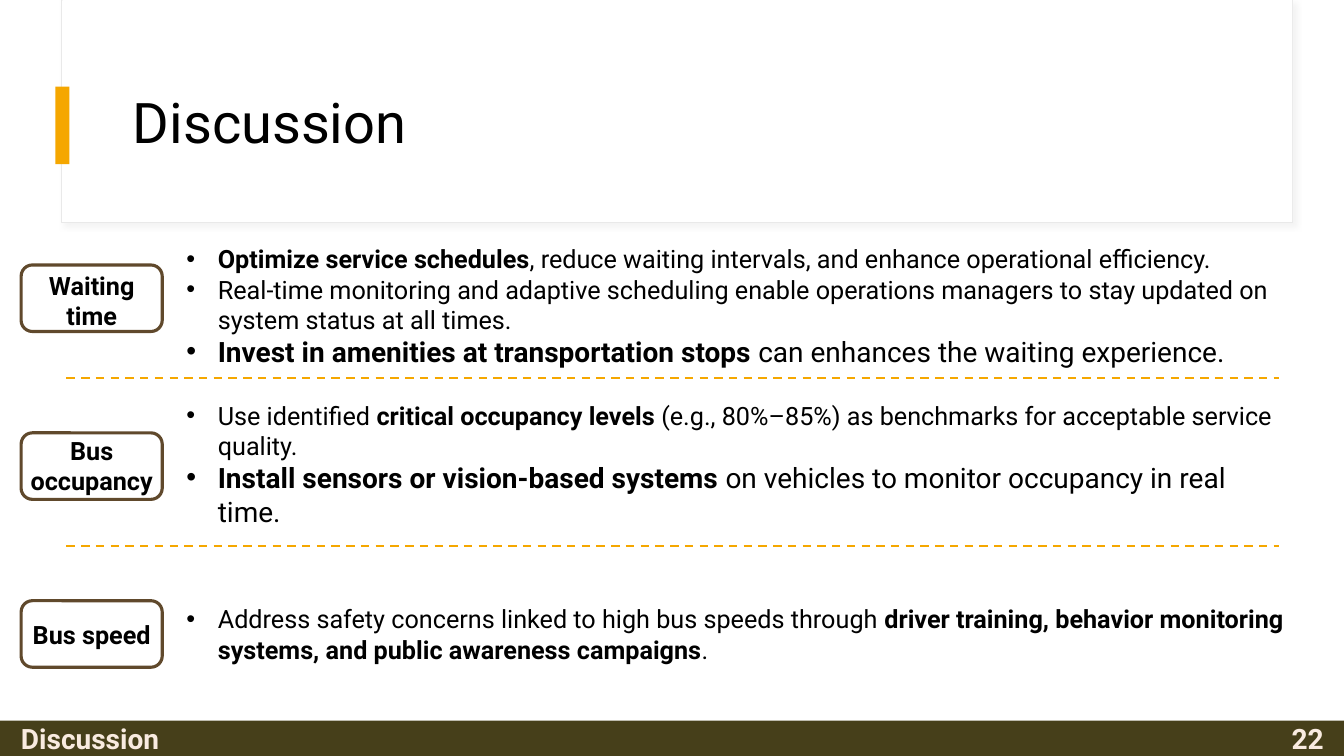
from dataclasses import dataclass

import pptx
import pptx.dml.color
import pptx.enum.dml
import pptx.enum.shapes
import pptx.enum.text
import pptx.oxml
import pptx.oxml.ns
import pptx.util

Pt = pptx.util.Pt
Shape = pptx.enum.shapes.MSO_SHAPE
Align = pptx.enum.text.PP_ALIGN
Anchor = pptx.enum.text.MSO_ANCHOR


@dataclass(frozen=True)
class Theme:
    font: str = "Roboto"
    text: str = "000000"
    paper: str = "FFFFFF"
    frame: str = "E9E9E9"
    shadow: str = "D9D9D9"
    accent: str = "F5A700"
    label_line: str = "60492C"
    footer: str = "463F1A"
    footer_text: str = "F9EBE0"
    title_size: int = 40
    large: int = 20
    body: int = 18


THEME = Theme()
WIDTH, HEIGHT = 960, 540
LABEL_TOP, LABEL_STEP = 189.3, 119.9
DIVIDER_TOPS = (270, 390.2)

# Each topic: label, label text top, bullets top, bullets height, bullets.
# Each bullet: size, then spans of (text, bold).
TOPICS = [
    ("Waiting time", 189.4, 170.6, 97.2, [
        (THEME.body, [("Optimize service schedules", True),
                      (", reduce waiting intervals, and enhance operational efficiency.", False)]),
        (THEME.body, [("Real-time monitoring and adaptive scheduling enable operations managers "
                       "to stay updated on system status at all times.", False)]),
        (THEME.large, [("Invest in amenities at transportation stops ", True),
                       ("can enhances the waiting experience.", False)]),
    ]),
    ("Bus occupancy", 307.4, 282.2, 99.4, [
        (THEME.body, [("Use identified ", False), ("critical occupancy levels ", True),
                      ("(e.g., 80%–85%) as benchmarks for acceptable service quality.", False)]),
        (THEME.large, [("Install sensors or vision-based systems ", True),
                       ("on vehicles to monitor occupancy in real time.", False)]),
    ]),
    ("Bus speed", 438.5, 427.7, 51.1, [
        (THEME.body, [("Address safety concerns linked to high bus speeds through ", False),
                      ("driver training, behavior monitoring systems, "
                       "and public awareness campaigns", True),
                      (".", False)]),
    ]),
]


def rgb(color):
    return pptx.dml.color.RGBColor.from_string(color)


def xml(markup):
    """Parse one element whose tag starts with the a: prefix."""
    tag, rest = markup[1:].split(" ", 1)
    return pptx.oxml.parse_xml(f"<{tag} {pptx.oxml.ns.nsdecls('a')} {rest}")


def add_block(slide, kind, left, top, width, height, fill=None, line=None, weight=0.75):
    block = slide.shapes.add_shape(kind, Pt(left), Pt(top), Pt(width), Pt(height))
    block.shadow.inherit = False
    if fill:
        block.fill.solid()
        block.fill.fore_color.rgb = rgb(fill)
    else:
        block.fill.background()
    if line:
        block.line.color.rgb = rgb(line)
        block.line.width = Pt(weight)
    else:
        block.line.fill.background()
    return block


def add_soft_shadow(block):
    effects = block._element.spPr.find(pptx.oxml.ns.qn("a:effectLst"))
    effects.append(xml(
        f'<a:outerShdw blurRad="{Pt(4)}" dist="{Pt(3)}" dir="2700000" algn="tl" rotWithShape="0">'
        f'<a:srgbClr val="{THEME.shadow}"><a:alpha val="30000"/></a:srgbClr></a:outerShdw>'))


def add_box(slide, left, top, width, height):
    box = slide.shapes.add_textbox(Pt(left), Pt(top), Pt(width), Pt(height))
    box.text_frame.word_wrap = True
    return box


def style(font, size, color=THEME.text, bold=False):
    font.name, font.size, font.bold = THEME.font, Pt(size), bold
    font.color.rgb = rgb(color)


def add_text(slide, text, left, top, width, height, size,
             color=THEME.text, bold=True, align=Align.LEFT):
    box = add_box(slide, left, top, width, height)
    box.text_frame.text = text
    para = box.text_frame.paragraphs[0]
    para.alignment = align
    style(para.runs[0].font, size, color, bold)
    return box


def add_bullets(slide, top, height, bullets):
    frame = add_box(slide, 126, top, 800.6, height).text_frame
    for index, (size, spans) in enumerate(bullets):
        para = frame.add_paragraph() if index else frame.paragraphs[0]
        properties = para._p.get_or_add_pPr()
        properties.set("marL", str(Pt(22.5)))
        properties.set("indent", str(Pt(-22.5)))
        properties.append(xml('<a:buFont typeface="Arial"/>'))
        properties.append(xml('<a:buChar char="•"/>'))
        for text, bold in spans:
            span = para.add_run()
            span.text = text
            style(span.font, size, bold=bold)


def add_divider(slide, top):
    divider = slide.shapes.add_connector(
        pptx.enum.shapes.MSO_CONNECTOR.STRAIGHT, Pt(47.5), Pt(top), Pt(913.7), Pt(top))
    divider.line.color.rgb = rgb(THEME.accent)
    divider.line.width = Pt(1.5)
    divider.line.dash_style = pptx.enum.dml.MSO_LINE.DASH
    divider._element.spPr.append(xml("<a:effectLst />"))


def add_header(slide):
    frame = add_block(slide, Shape.RECTANGLE, 43.9, 0, 879.1, 159.1, THEME.paper, THEME.frame)
    add_soft_shadow(frame)
    add_block(slide, Shape.RECTANGLE, 44.6, 0, 878.4, 158.4, THEME.paper)
    add_block(slide, Shape.RECTANGLE, 39.6, 61.9, 10.1, 55.4, THEME.accent)
    title = add_text(slide, "Discussion", 87.8, 43.2, 800.6, 92.9, THEME.title_size, bold=False)
    title.text_frame.vertical_anchor = Anchor.MIDDLE
    title.text_frame.paragraphs[0].line_spacing = 0.9


def add_footer(slide):
    add_block(slide, Shape.RECTANGLE, 0, 514.8, WIDTH, 25.2, THEME.footer)
    for text, left, align in (("Discussion", 7.9, Align.LEFT), ("22", 679, Align.RIGHT)):
        add_text(slide, text, left, 511.9, 273.6, 31.7, THEME.large, THEME.footer_text, align=align)


def add_topic(slide, index, label, label_top, bullets_top, bullets_height, bullets):
    outline = add_block(slide, Shape.ROUNDED_RECTANGLE, 15.1, LABEL_TOP + index * LABEL_STEP,
                        100.8, 47.5, line=THEME.label_line, weight=2.25)
    outline.adjustments[0] = 0.17
    label_height = 28.8 if label == "Bus speed" else 51.1
    add_text(slide, label, 10.1, label_top, 110.9, label_height, THEME.body, align=Align.CENTER)
    add_bullets(slide, bullets_top, bullets_height, bullets)


def main():
    deck = pptx.Presentation()
    deck.slide_width, deck.slide_height = Pt(WIDTH), Pt(HEIGHT)
    slide = deck.slides.add_slide(deck.slide_layouts[6])
    add_header(slide)
    add_footer(slide)
    for top in DIVIDER_TOPS:
        add_divider(slide, top)
    for index, topic in enumerate(TOPICS):
        add_topic(slide, index, *topic)
    deck.save("out.pptx")


if __name__ == "__main__":
    main()
